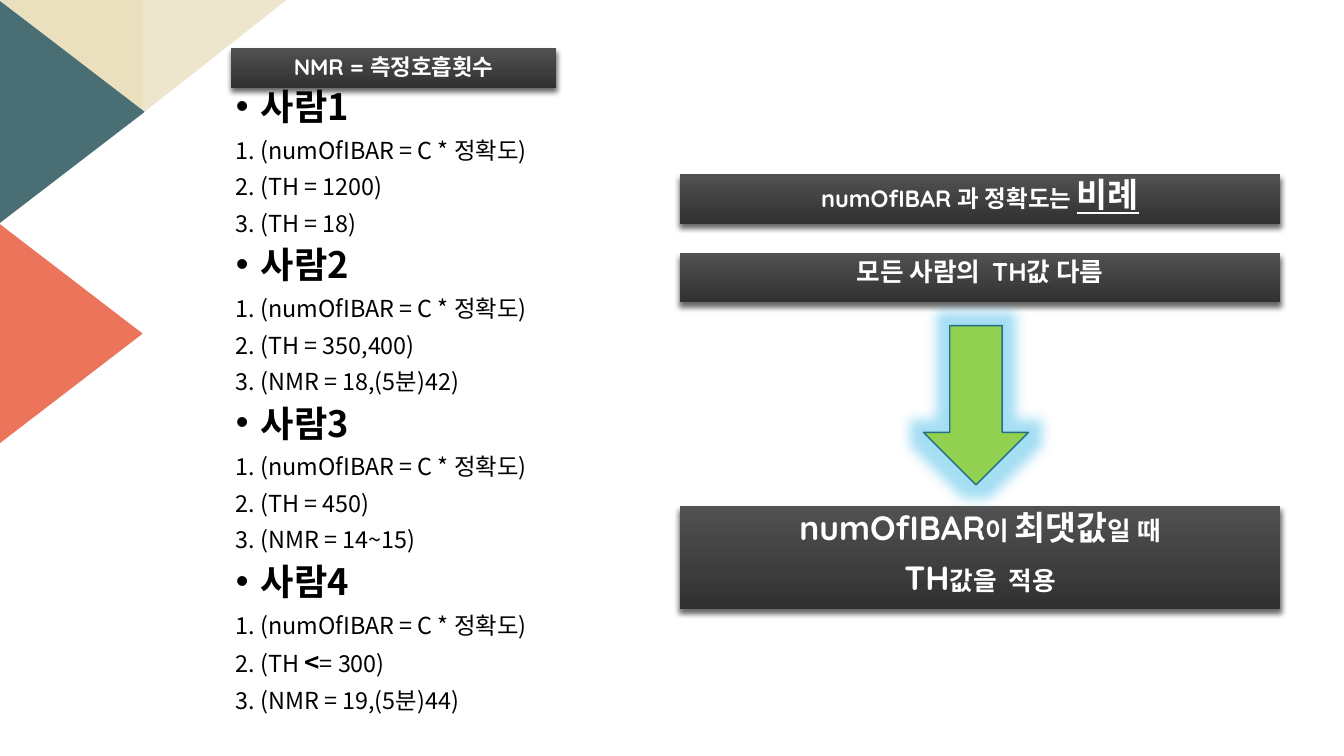
from lxml import etree
from pptx import Presentation
from pptx.dml.color import RGBColor
from pptx.enum.shapes import MSO_SHAPE
from pptx.enum.text import MSO_ANCHOR, PP_ALIGN
from pptx.oxml import parse_xml
from pptx.oxml.ns import nsdecls, qn
from pptx.util import Pt

PX = 9144
RIGHT_TRIANGLE = MSO_SHAPE.RIGHT_TRIANGLE
TRIANGLE = MSO_SHAPE.ISOSCELES_TRIANGLE
RECTANGLE = MSO_SHAPE.RECTANGLE
DOWN_ARROW = MSO_SHAPE.DOWN_ARROW
TOP, MIDDLE = MSO_ANCHOR.TOP, MSO_ANCHOR.MIDDLE
CENTER = PP_ALIGN.CENTER
KOREAN, LATIN = "Noto Sans CJK KR", "Quicksand"

PEOPLE = [
    ("사람1", [["2. (TH = 1200)"], ["3. (TH = 18)"]]),
    ("사람2", [["2. (TH = 350,400)"], ["3. (NMR = 18,(5분)42)"]]),
    ("사람3", [["2. (TH = 450)"], ["3. (NMR = 14~15)"]]),
    ("사람4", [["2. (TH ", "<", "= 300)"], ["3. (NMR = 19,(5분)44)"]]),
]
FORMULA = ["1. (numOfIBAR = C * 정확도)"]


def rgb(value):
    return RGBColor.from_string(value)


def px(*lengths):
    return [length * PX for length in lengths]


def add_run(paragraph, text, size, face, color, bold=True, underline=None):
    run = paragraph.add_run()
    run.text = text
    font = run.font
    font.size, font.name, font.bold, font.underline = Pt(size), face, bold, underline
    font.color.rgb = rgb(color)
    east_asian = etree.SubElement(run._r.get_or_add_rPr(), qn("a:ea"))
    east_asian.set("typeface", KOREAN)


def add_plain(slide, preset, box, color, rotation=0):
    shape = slide.shapes.add_shape(preset, *px(*box))
    shape.rotation = rotation
    shape.shadow.inherit = False
    shape.fill.solid()
    shape.fill.fore_color.rgb = rgb(color)
    shape.line.fill.background()
    return shape


def add_effect(shape, xml):
    shape._element.spPr.find(qn("a:effectLst")).append(parse_xml(xml))


def add_corner(slide, left, top):
    width, height = 142, 112
    add_plain(slide, RIGHT_TRIANGLE, (left, top, width, height), "EAE0BE", 180)
    pale = add_plain(slide, RIGHT_TRIANGLE, (left + width, top, width, height), "EEE6CC", 180)
    pale._element.spPr.find(qn("a:xfrm")).set("flipH", "1")
    for row, color in enumerate(("496F74", "EC745B")):
        box = (left - 39 - 2 * row, top + 39 + row * 220, 221, 144)
        add_plain(slide, TRIANGLE, box, color, 90)


def add_people(slide, left, top, width, height):
    frame = slide.shapes.add_textbox(*px(left, top, width, height)).text_frame
    frame.word_wrap = True
    frame.vertical_anchor = TOP
    frame.margin_top = 5 * PX
    paragraph = None
    for person, facts in PEOPLE:
        for pieces in [[person], FORMULA, *facts]:
            heading = pieces == [person]
            first = paragraph is None
            paragraph = frame.paragraphs[0] if first else frame.add_paragraph()
            properties = paragraph._p.get_or_add_pPr()
            properties.set("marL", str(25 * PX))
            properties.set("indent", str(-25 * PX))
            paragraph.line_spacing = 0.8
            paragraph.space_before = Pt(0 if first else 10)
            if heading:
                etree.SubElement(properties, qn("a:buFont")).set("typeface", "Arial")
                etree.SubElement(properties, qn("a:buChar")).set("char", "•")
            else:
                etree.SubElement(properties, qn("a:buNone"))
            for piece in pieces:
                emphasis = piece == "<"
                size = 25.9 if heading else 18.5 if emphasis else 16.7
                add_run(paragraph, piece, size, KOREAN, "000000", heading or emphasis)


def add_bar(slide, box, lines, spacing=0.9, lift=2):
    bar = add_plain(slide, RECTANGLE, box, "515151")
    bar.fill.gradient()
    bar.fill.gradient_angle = 270
    for stop, color, position in zip(bar.fill.gradient_stops, ("515151", "313131"), (0, 1)):
        stop.color.rgb = rgb(color)
        stop.position = position
    add_effect(bar, f'<a:outerShdw {nsdecls("a")} blurRad="50800" dist="38100" dir="5400000" '
               'algn="t" rotWithShape="0"><a:srgbClr val="000000"><a:alpha val="60000"/>'
               '</a:srgbClr></a:outerShdw>')
    frame = bar.text_frame
    frame.word_wrap = True
    frame.vertical_anchor = MIDDLE
    frame.margin_top, frame.margin_bottom = px(0, 2 * lift)
    for index, line in enumerate(lines):
        paragraph = frame.add_paragraph() if index else frame.paragraphs[0]
        paragraph.alignment = CENTER
        paragraph.line_spacing = spacing
        paragraph.space_before = Pt(10 if index else 0)
        for text, size, *underline in line:
            add_run(paragraph, text, size, LATIN, "FFFFFF", True, *underline)


def add_arrow(slide, box):
    arrow = add_plain(slide, DOWN_ARROW, box, "92D050")
    arrow.line.color.rgb = rgb("266D8A")
    arrow.line.width = Pt(1)
    add_effect(arrow, f'<a:glow {nsdecls("a")} rad="228600"><a:srgbClr val="1CADE4">'
               '<a:alpha val="40000"/></a:srgbClr></a:glow>')


def add_conclusion(slide, left, top, width):
    add_bar(slide, (left, top, width, 49), [[("numOfIBAR 과 정확도는 ", 16.8), ("비례", 24.1, True)]])
    add_bar(slide, (left, top + 78, width, 49), [[("모든 사람의  TH값 다름", 18.3)]], 1.0, 6)
    add_bar(slide, (left, top + 329, width, 102), [
        [("numOfIBAR", 24), ("이 ", 18.3), ("최댓값", 24), ("일 때", 18.3)],
        [("TH", 24), ("값을  적용", 18.3)],
    ], lift=3)
    add_arrow(slide, (left + 242, top + 150, 104, 158))


def main():
    presentation = Presentation()
    presentation.slide_width, presentation.slide_height = px(1333, 750)
    slide = presentation.slides.add_slide(presentation.slide_layouts[6])
    add_corner(slide, 0, 0)
    add_people(slide, 224, 87, 527, 633)
    add_conclusion(slide, 674, 173, 596)
    add_bar(slide, (229, 48, 323, 39), [[("NMR = 측정호흡횟수", 16)]], 1.0, 1)
    presentation.save("out.pptx")


if __name__ == "__main__":
    main()
